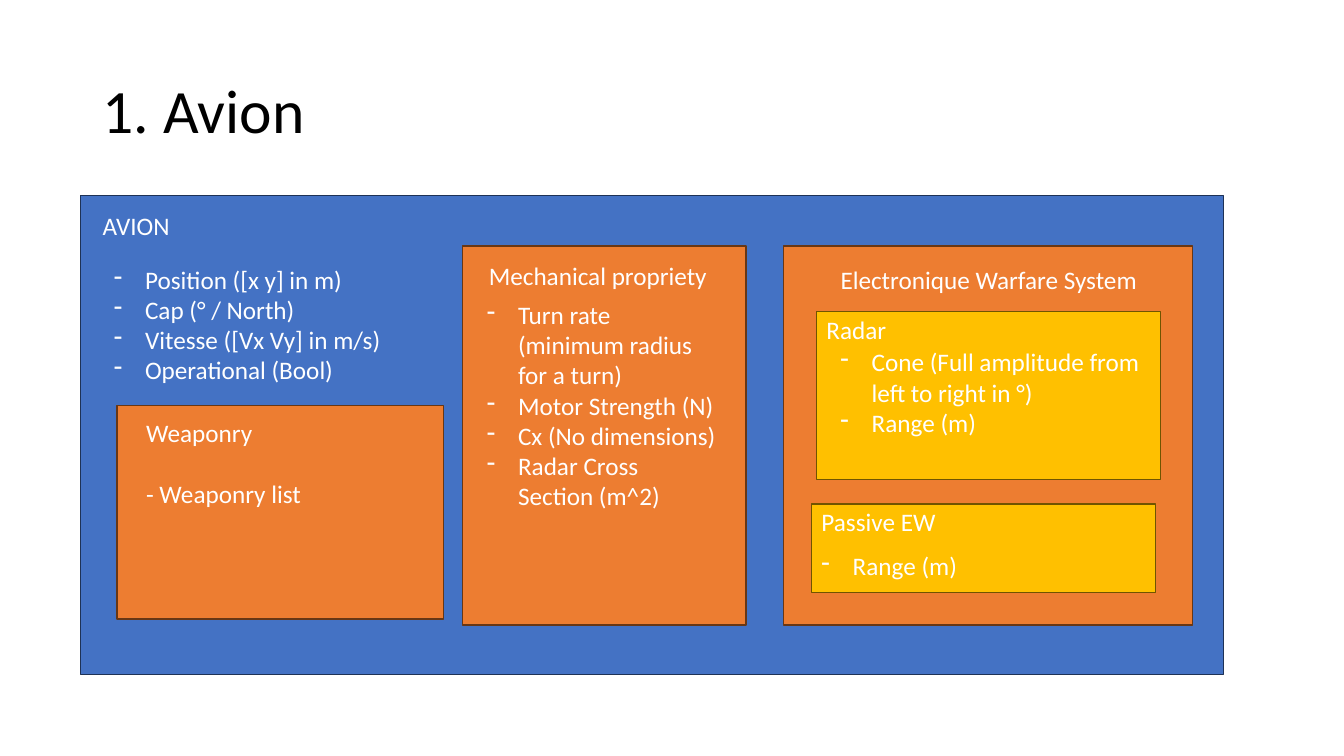
from lxml import etree
from pptx import Presentation
from pptx.dml.color import RGBColor
from pptx.enum.shapes import MSO_SHAPE
from pptx.enum.text import MSO_ANCHOR
from pptx.oxml.ns import qn
from pptx.util import Inches, Pt

RECTANGLE = MSO_SHAPE.RECTANGLE
MIDDLE = MSO_ANCHOR.MIDDLE
BLACK = RGBColor(0x00, 0x00, 0x00)
WHITE = RGBColor(0xFF, 0xFF, 0xFF)
BLUE = (RGBColor(0x44, 0x72, 0xC4), RGBColor(0x1E, 0x32, 0x56))
ORANGE = (RGBColor(0xED, 0x7D, 0x31), RGBColor(0x68, 0x37, 0x15))
GOLD = (RGBColor(0xFF, 0xC0, 0x00), RGBColor(0x70, 0x54, 0x00))

FONT = "Calibri"
WIDTH, HEIGHT = Inches(13.33), Inches(7.5)
ROW_SHARE, PADDING_SHARE = 4.04, 1.33
INDENT = Inches(0.31)
BLANK_LAYOUT = 6

TITLE = ("1. Avion", (6.9, 5.33, 86.25, 19.33))

# Shares are percentages of the slide: left, top, width, height.
BOXES = [
    (BLUE, (6, 25.87, 85.05, 63.33)),
    (ORANGE, (58.28, 32.53, 30.45, 50.13)),
    (ORANGE, (34.43, 32.53, 21.08, 50.13)),
    (ORANGE, (8.7, 53.6, 24.3, 28.27)),
    (GOLD, (60.75, 41.2, 25.58, 22.27)),
    (GOLD, (60.38, 66.67, 25.58, 11.73)),
]

HEADINGS = [
    ("AVION", (6.9, 27.2, 9.08)),
    ("Electronique Warfare System", (61.8, 34.27, 24.15)),
    ("Mechanical propriety", (35.63, 33.73, 18.68)),
    ("Radar", (60.75, 40.93, 18.68)),
    ("Passive EW", (60.38, 66.27, 18.68)),
]

LISTS = [
    (["Position ([x y] in m)", "Cap (° / North)", "Vitesse ([Vx Vy] in m/s)",
      "Operational (Bool)"], (7.73, 34.27, 25.13), 4),
    (["Turn rate (minimum radius for a turn)", "Motor Strength (N)",
      "Cx (No dimensions)", "Radar Cross Section (m^2)"], (35.48, 38.93, 18.68), 9),
    (["Cone (Full amplitude from left to right in °)", "Range (m)"],
     (61.8, 45.2, 24.68), 3),
    (["Range (m)"], (60.38, 72.13, 18.68), 1),
]

WEAPONRY = (["Weaponry", "- Weaponry list"], (10.13, 54.53, 18.68), 3)


def place(shares):
    """Turn percentages of the slide into lengths."""
    return [round(share * side / 100)
            for share, side in zip(shares, (WIDTH, HEIGHT, WIDTH, HEIGHT))]


def add_box(slide, colours, shares):
    """Draw one outlined rectangle."""
    box = slide.shapes.add_shape(RECTANGLE, *place(shares))
    box.shadow.inherit = False
    box.fill.solid()
    box.fill.fore_color.rgb, box.line.color.rgb = colours
    box.line.width = Pt(1)


def add_dash(paragraph):
    """Give a paragraph a hanging dash bullet."""
    properties = paragraph._p.get_or_add_pPr()
    properties.set("marL", str(INDENT))
    properties.set("indent", str(-INDENT))
    etree.SubElement(properties, qn("a:buChar")).set("char", "-")


def add_text(slide, lines, shares, size=18, colour=WHITE, bulleted=False):
    """Write lines as paragraphs of a text box and return its frame."""
    frame = slide.shapes.add_textbox(*place(shares)).text_frame
    frame.word_wrap = True
    frame.text = "\n".join(lines)
    for paragraph in frame.paragraphs:
        if bulleted:
            add_dash(paragraph)
        paragraph.font.name = FONT
        paragraph.font.size = Pt(size)
        paragraph.font.color.rgb = colour
    return frame


def rows_high(corner, rows):
    """Complete a left, top and width with the height of some text rows."""
    return (*corner, PADDING_SHARE + rows * ROW_SHARE)


def main():
    """Build the slide about the aircraft model."""
    presentation = Presentation()
    presentation.slide_width, presentation.slide_height = WIDTH, HEIGHT
    slide = presentation.slides.add_slide(presentation.slide_layouts[BLANK_LAYOUT])

    title, title_shares = TITLE
    title_frame = add_text(slide, [title], title_shares, 44, BLACK)
    title_frame.vertical_anchor = MIDDLE
    title_frame.paragraphs[0].line_spacing = 0.9

    for colours, shares in BOXES:
        add_box(slide, colours, shares)
    for heading, corner in HEADINGS:
        add_text(slide, [heading], rows_high(corner, 1))
    for items, corner, rows in LISTS:
        add_text(slide, items, rows_high(corner, rows), bulleted=True)

    lines, corner, rows = WEAPONRY
    weaponry_frame = add_text(slide, lines, rows_high(corner, rows))
    weaponry_frame.paragraphs[1].space_before = Pt(22)

    presentation.save("out.pptx")


if __name__ == "__main__":
    main()
